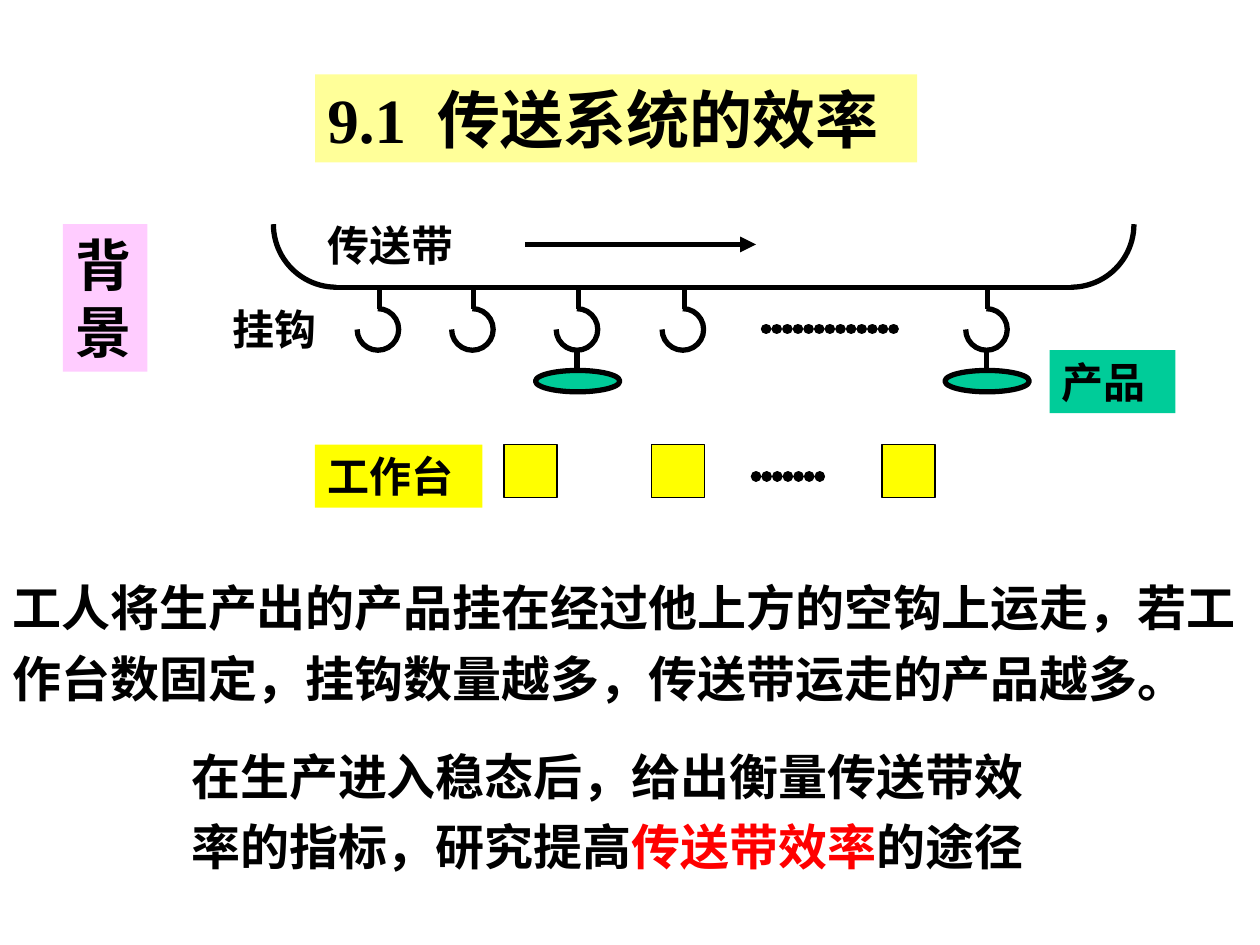
from typing import NamedTuple, Optional

from lxml import etree
from pptx import Presentation
from pptx.dml.color import RGBColor
from pptx.enum.shapes import MSO_CONNECTOR, MSO_SHAPE
from pptx.enum.text import MSO_ANCHOR, MSO_AUTO_SIZE, PP_ALIGN
from pptx.oxml import parse_xml
from pptx.oxml.ns import nsdecls, qn
from pptx.util import Inches, Pt

BLACK = RGBColor(0x00, 0x00, 0x00)
RED = RGBColor(0xFF, 0x00, 0x00)
GREEN = RGBColor(0x00, 0xCC, 0x99)
YELLOW = RGBColor(0xFF, 0xFF, 0x00)
PALE_YELLOW = RGBColor(0xFF, 0xFF, 0x99)
PINK = RGBColor(0xFF, 0xCC, 0xFF)

FONT = {"name": "Times New Roman", "bold": True}
FRAME = {
    "word_wrap": True,
    "auto_size": MSO_AUTO_SIZE.SHAPE_TO_FIT_TEXT,
    "vertical_anchor": MSO_ANCHOR.TOP,
    "margin_left": Inches(0.1),
    "margin_right": Inches(0.1),
    "margin_top": Inches(0.05),
    "margin_bottom": Inches(0.05),
}


class Box(NamedTuple):
    left: float
    top: float
    width: float
    height: float


class Run(NamedTuple):
    text: str
    color: RGBColor = BLACK


class Label(NamedTuple):
    box: Box
    runs: tuple[Run, ...]
    size: int
    fill: Optional[RGBColor] = None
    line_spacing: float = 1.0


class Hook(NamedTuple):
    center: float
    loaded: bool = False


BELT_Y = 2.28
BELT_START, BELT_END = 2.67, 8.5
BEND_RADIUS = 0.5
HOOK_TOP, HOOK_SIZE = 2.45, 0.33
PRODUCT_TOP = 2.94
STATION_TOP, STATION_SIZE = 3.53, 0.42

HOOKS = (Hook(3), Hook(3.75), Hook(4.58, True), Hook(5.42), Hook(7.83, True))
STATIONS = (4, 5.17, 7)
LABELS = (
    Label(Box(2.5, 1.69, 1.33, 0.5), (Run("传送带"),), 24),
    Label(Box(1.75, 2.36, 0.92, 0.5), (Run("挂钩"),), 24),
    Label(Box(8.33, 2.78, 1, 0.5), (Run("产品"),), 24, GREEN),
    Label(Box(2.5, 3.53, 1.33, 0.5), (Run("工作台"),), 24, YELLOW),
    Label(
        Box(0, 4.44, 10, 1.22),
        (Run("工人将生产出的产品挂在经过他上方的空钩上运走，若工作台数固定，"
             "挂钩数量越多，传送带运走的产品越多。"),),
        28, line_spacing=1.2,
    ),
    Label(Box(0.5, 1.78, 0.67, 1.17), (Run("背景"),), 32, PINK),
    Label(
        Box(1.42, 5.78, 7, 1.22),
        (Run("在生产进入稳态后，给出衡量传送带效率的指标，研究提高"),
         Run("传送带效率", RED), Run("的途径")),
        28, line_spacing=1.2,
    ),
    Label(Box(2.5, 0.59, 4.78, 0.7), (Run("9.1  传送系统的效率"),), 36, PALE_YELLOW),
)


def set_all(target, values: dict) -> None:
    for key, value in values.items():
        setattr(target, key, value)


def add_figure(slide, kind, box: Box, fill: Optional[RGBColor], weight: float):
    figure = slide.shapes.add_shape(kind, *map(Inches, box))
    figure.shadow.inherit = False
    if fill is None:
        figure.fill.background()
    else:
        figure.fill.solid()
        figure.fill.fore_color.rgb = fill
    if weight:
        figure.line.color.rgb = BLACK
        figure.line.width = Pt(weight)
    else:
        figure.line.fill.background()
    return figure


def add_arc(slide, center: float, middle: float, diameter: float,
            start: float, end: float) -> None:
    box = Box(center - diameter / 2, middle - diameter / 2, diameter, diameter)
    arc = add_figure(slide, MSO_SHAPE.ARC, box, None, 3)
    for index, degrees in enumerate((start, end)):
        arc.adjustments[index] = degrees * 0.6


def add_line(slide, x1: float, y1: float, x2: float, y2: float, weight: float = 3):
    line = slide.shapes.add_connector(
        MSO_CONNECTOR.STRAIGHT, *map(Inches, (x1, y1, x2, y2)))
    line.line.color.rgb = BLACK
    line.line.width = Pt(weight)
    etree.SubElement(line._element.spPr, qn("a:effectLst"))
    return line


def add_arrow(slide, start: float, end: float, y: float) -> None:
    outline = add_line(slide, start, y, end, y).line._get_or_add_ln()
    etree.SubElement(outline, qn("a:tailEnd"), type="triangle")


def add_dots(slide, start: float, end: float, y: float) -> None:
    outline = add_line(slide, start, y, end, y, 6).line._get_or_add_ln()
    outline.set("cap", "rnd")
    outline.append(parse_xml(
        f'<a:custDash {nsdecls("a")}><a:ds d="100000" sp="1000"/></a:custDash>'))


def add_hook(slide, hook: Hook) -> None:
    stem = hook.center + 0.01
    add_arc(slide, hook.center, HOOK_TOP + HOOK_SIZE / 2, HOOK_SIZE, 270, 180)
    add_line(slide, stem, HOOK_TOP, stem, BELT_Y)
    if hook.loaded:
        product = Box(hook.center - 0.33, PRODUCT_TOP, 0.67, 0.17)
        add_figure(slide, MSO_SHAPE.OVAL, product, GREEN, 3)
        add_line(slide, hook.center, HOOK_TOP + HOOK_SIZE, hook.center, PRODUCT_TOP)


def add_label(slide, label: Label) -> None:
    if label.fill is None:
        holder = slide.shapes.add_textbox(*map(Inches, label.box))
    else:
        holder = add_figure(slide, MSO_SHAPE.RECTANGLE, label.box, label.fill, 0)
    set_all(holder.text_frame, FRAME)
    paragraph = holder.text_frame.paragraphs[0]
    set_all(paragraph, {"alignment": PP_ALIGN.LEFT, "line_spacing": label.line_spacing})
    for part in label.runs:
        run = paragraph.add_run()
        run.text = part.text
        set_all(run.font, {**FONT, "size": Pt(label.size)})
        run.font.color.rgb = part.color


def main() -> None:
    deck = Presentation()
    set_all(deck, {"slide_width": Inches(10), "slide_height": Inches(7.5)})
    slide = deck.slides.add_slide(deck.slide_layouts[6])

    for hook in HOOKS:
        add_hook(slide, hook)
    add_line(slide, BELT_START, BELT_Y, BELT_END, BELT_Y)
    for center, start in ((BELT_END, 0), (BELT_START, 90)):
        add_arc(slide, center, BELT_Y - BEND_RADIUS, 2 * BEND_RADIUS, start, start + 90)
    for left in STATIONS:
        station = Box(left, STATION_TOP, STATION_SIZE, STATION_SIZE)
        add_figure(slide, MSO_SHAPE.RECTANGLE, station, YELLOW, 0.75)
    add_dots(slide, 6.08, 7.17, 2.61)
    add_dots(slide, 6, 6.58, 3.78)
    add_arrow(slide, 4.17, 6, 1.94)
    for label in LABELS:
        add_label(slide, label)

    deck.save("out.pptx")


if __name__ == "__main__":
    main()
